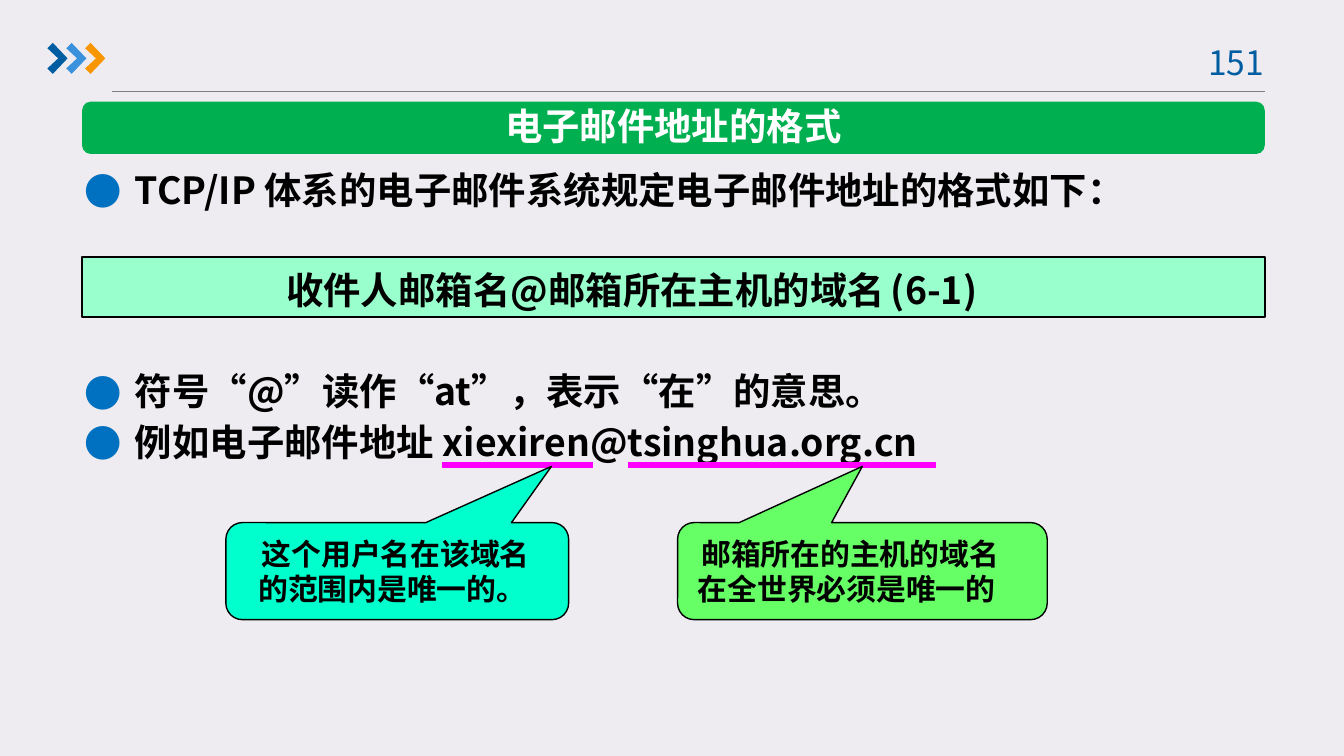
from lxml.etree import SubElement
from pptx import Presentation
from pptx.dml.color import RGBColor
from pptx.enum.shapes import MSO_CONNECTOR, MSO_SHAPE
from pptx.enum.text import MSO_ANCHOR, PP_ALIGN
from pptx.oxml.ns import qn
from pptx.util import Pt

FACE = "Noto Sans CJK SC"
HUES = {
    "back": "EEECF1", "rule": "808080", "navy": "005DA2", "blue": "3992DB",
    "gold": "F79600", "green": "00B050", "mint": "99FFCC", "dot": "0070C0",
    "pink": "FF00FF", "lime": "66FF66", "aqua": "00FFCC",
    "black": "000000", "white": "FFFFFF",
}
BODY = {"size": Pt(20), "bold": True}
NOTE = {"size": Pt(16), "bold": True}
PAGE = {"size": Pt(18), "bold": False}


def hue(name):
    return RGBColor.from_string(HUES[name])


def paint(shape, fill, line=None, width=0.75):
    shape.shadow.inherit = False
    shape.fill.solid()
    shape.fill.fore_color.rgb = hue(fill)
    if line:
        shape.line.color.rgb = hue(line)
        shape.line.width = Pt(width)
    else:
        shape.line.fill.background()


def add_form(slide, kind, box, *look):
    form = slide.shapes.add_shape(kind, *map(Pt, box))
    paint(form, *look)
    return form


def add_line(slide, left, right, y, color, width):
    line = slide.shapes.add_connector(
        MSO_CONNECTOR.STRAIGHT, Pt(left), Pt(y), Pt(right), Pt(y))
    line.line.color.rgb = hue(color)
    line.line.width = Pt(width)
    SubElement(line._element.spPr, qn("a:effectLst"))


def add_run(para, text, style, color="black"):
    run = para.add_run()
    run.text = text
    for key, value in {**style, "name": FACE}.items():
        setattr(run.font, key, value)
    run.font.color.rgb = hue(color)
    SubElement(run._r.get_or_add_rPr(), qn("a:ea"), typeface=FACE)


def set_text(shape, lines, style, color="black", **frame):
    """Fill a shape with centred lines; frame holds text frame settings."""
    text = shape.text_frame
    base = {"word_wrap": True, "vertical_anchor": MSO_ANCHOR.MIDDLE,
            "margin_left": 0, "margin_right": 0,
            "margin_top": 0, "margin_bottom": 0}
    for key, value in {**base, **frame}.items():
        setattr(text, key, value)
    for i, line in enumerate(lines):
        para = text.add_paragraph() if i else text.paragraphs[0]
        para.alignment = PP_ALIGN.CENTER
        add_run(para, line, style, color)


def add_head(slide, box):
    """Chevrons, page number and the rule below them."""
    x, y, w, h = box
    edge = [(0, 2.9), (2.9, 0), (10.8, 8.3), (2.9, 16.6), (0, 13.7), (5.8, 8.3)]
    for i, color in enumerate(["navy", "blue", "gold"]):
        dots = [(Pt(x + 10.1 * i + a), Pt(y + 4 + b)) for a, b in edge]
        path = slide.shapes.build_freeform(*dots[0])
        path.add_line_segments(dots[1:], close=True)
        paint(path.convert_to_shape(), color)
    page = slide.shapes.add_textbox(
        Pt(x + w - 39.6), Pt(y), Pt(52.6), Pt(28.8))
    set_text(page, ["151 "], PAGE, "navy")
    add_line(slide, x + 34.6, x + w, y + h, "rule", 0.75)


def add_title(slide, box):
    bar = add_form(slide, MSO_SHAPE.ROUNDED_RECTANGLE, box, "green")
    set_text(bar, ["电子邮件地址的格式"], BODY, "white", margin_bottom=Pt(2))


def add_body(slide, box):
    """Bulleted lines around a framed formula, on a fixed line pitch."""
    x, y, w, h = box
    pitch = 27
    add_form(slide, MSO_SHAPE.RECTANGLE, (x + 5.8, y + 54.7, w - 5.8, 32.4),
             "mint", "black", 1)
    text = slide.shapes.add_textbox(*map(Pt, box)).text_frame
    text.word_wrap = True
    rows = [
        ("TCP/IP 体系的电子邮件系统规定电子邮件地址的格式如下：", True, 0),
        ("收件人邮箱名@邮箱所在主机的域名\t(6-1)", False, pitch),
        ("符号“@”读作“at”，表示“在”的意思。", True, pitch),
        ("例如电子邮件地址 xiexiren@tsinghua.org.cn", True, 0),
    ]
    for i, (line, listed, gap) in enumerate(rows):
        para = text.add_paragraph() if i else text.paragraphs[0]
        para.line_spacing = Pt(pitch)
        para.space_before = Pt(gap)
        props = para._p.get_or_add_pPr()
        props.set("marL", str(Pt(27 if listed else 108)))
        props.set("indent", str(Pt(-27 if listed else 0)))
        if listed:
            tint = SubElement(props, qn("a:buClr"))
            SubElement(tint, qn("a:srgbClr"), val=HUES["dot"])
            SubElement(props, qn("a:buFont"), typeface=FACE)
            SubElement(props, qn("a:buChar"), char="●")
        else:
            SubElement(props, qn("a:buNone"))
            tabs = SubElement(props, qn("a:tabLst"))
            SubElement(tabs, qn("a:tab"), pos=str(Pt(471.6)), algn="l")
        add_run(para, line, BODY)


def add_note(slide, box, mark, tip, color, lines, inset):
    """Callout with an underline above it; mark is the underline's span."""
    x, y, w, h = box
    add_line(slide, x + mark[0], x + mark[1], y - 31, "pink", 3)
    form = add_form(slide, MSO_SHAPE.ROUNDED_RECTANGULAR_CALLOUT, box,
                    color, "black")
    for i, value in enumerate([tip, -1.08, 0.17]):
        form.adjustments[i] = value
    set_text(form, lines, NOTE, margin_right=Pt(inset))


def main():
    deck = Presentation()
    deck.slide_width, deck.slide_height = Pt(720), Pt(405)
    slide = deck.slides.add_slide(deck.slide_layouts[6])
    slide.background.fill.solid()
    slide.background.fill.fore_color.rgb = hue("back")
    add_head(slide, (25.4, 19, 652.2, 30))
    add_title(slide, (44, 54.5, 633.6, 28))
    add_body(slide, (38.2, 82.8, 639.4, 170.6))
    add_note(slide, (363, 280, 198, 52), (-26.8, 138.2), 0, "lime",
             ["邮箱所在的主机的域名", "在全世界必须是唯一的 "], 13)
    add_note(slide, (121, 280, 183.6, 52), (116, 196.6), 0.45, "aqua",
             ["这个用户名在该域名", "的范围内是唯一的。 "], 1.5)
    deck.save("out.pptx")


if __name__ == "__main__":
    main()
